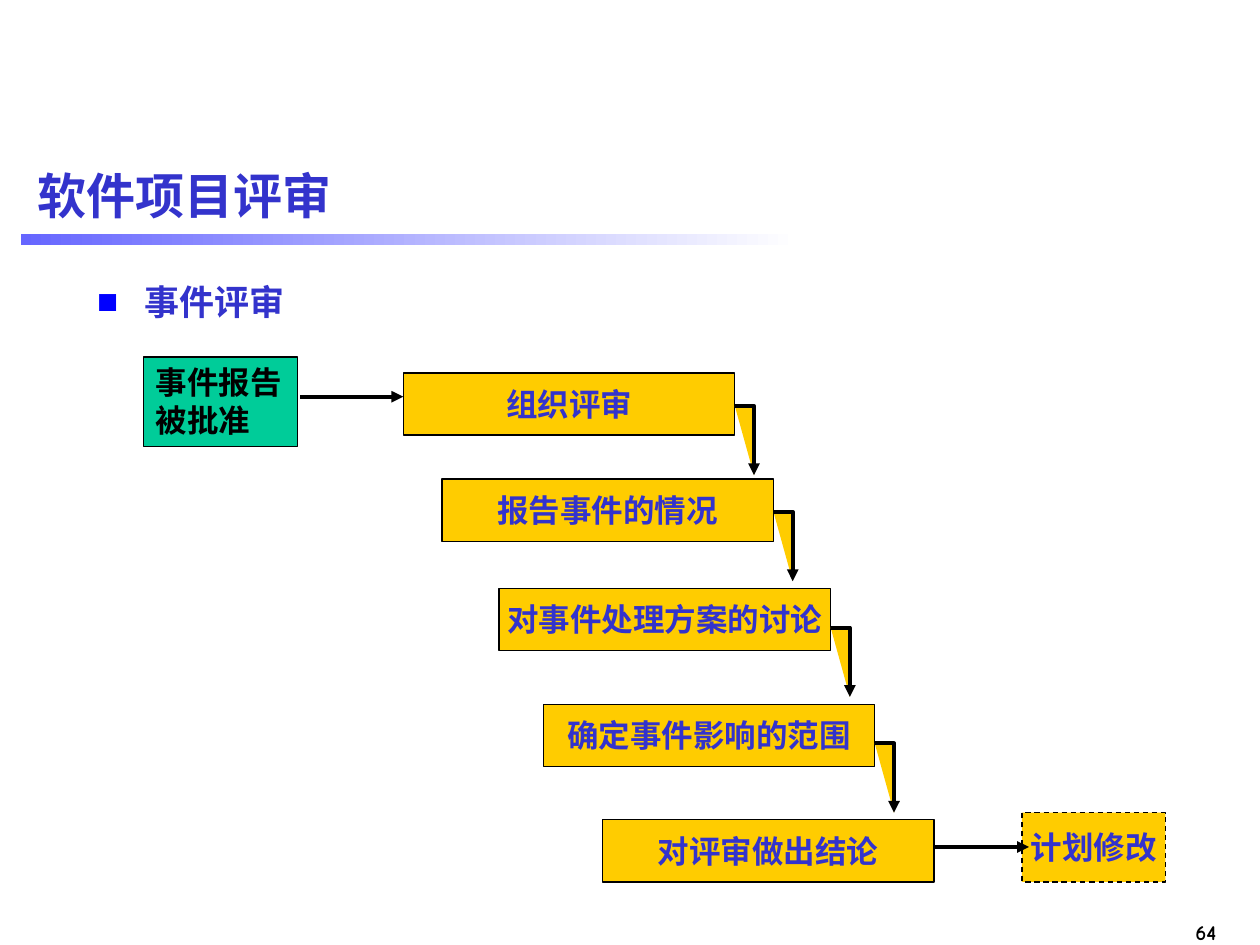
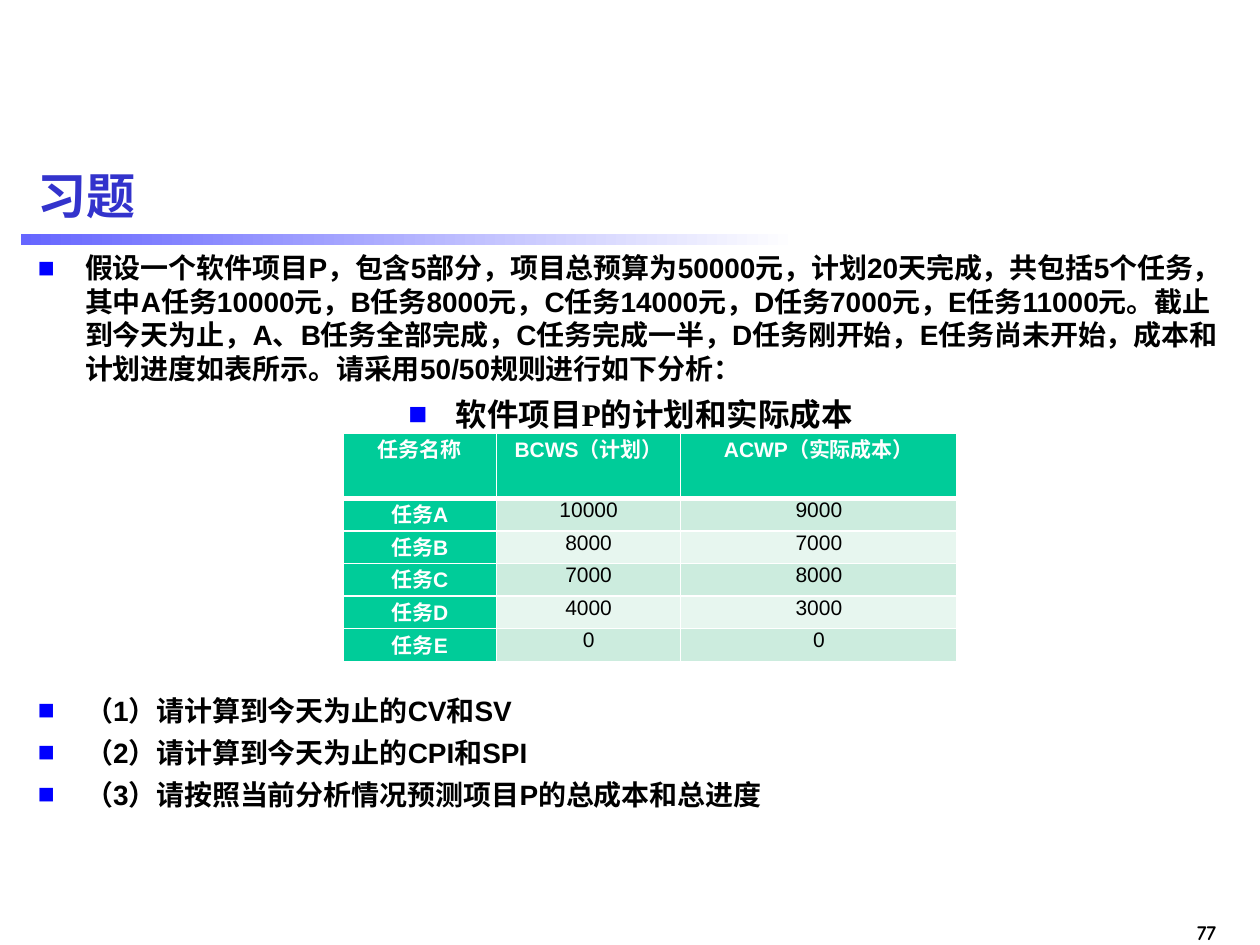
from collections import namedtuple
from dataclasses import dataclass

from lxml import etree
from pptx import Presentation
from pptx.dml.color import RGBColor
from pptx.enum.dml import MSO_LINE
from pptx.enum.lang import MSO_LANGUAGE_ID as Lang
from pptx.enum.shapes import MSO_CONNECTOR, MSO_SHAPE
from pptx.enum.text import MSO_ANCHOR as Anchor, MSO_AUTO_SIZE as AutoSize, PP_ALIGN as Align
from pptx.oxml.ns import qn
from pptx.util import Pt

Box = namedtuple("Box", "left top width height")


@dataclass(frozen=True)
class Theme:
    blue: str = "3333CC"
    bullet: str = "0000FF"
    band: str = "6666FF"
    gold: str = "FFCC00"
    green: str = "00CC99"
    stripes: tuple = ("CCECDE", "E7F6EF")
    black: str = "000000"
    white: str = "FFFFFF"
    sans: str = "Arial"
    serif: str = "Times New Roman"
    chinese: str = "Noto Sans CJK SC"
    comic: str = "Comic Neue"
    title_size: int = 28
    topic_size: int = 20
    label_size: int = 18
    text_size: int = 16
    small_size: int = 12
    indent: int = 27
    thin: float = 0.75
    thick: float = 2.25


THEME = Theme()
TITLE_BOX = Box(14.4, 83, 692, 57)
BAND_BOX = Box(12, 134, 444, 6)
NUMBER_BOX = Box(662, 522, 40, 22)


# Shared helpers
def rgb(value):
    return RGBColor.from_string(value)


def points(box):
    return [Pt(length) for length in box]


def apply(target, **formats):
    for key, value in formats.items():
        setattr(target, key, value)


def write(paragraph, text, size, color, face=THEME.sans, asian=THEME.sans,
          bold=True, **formats):
    apply(paragraph, **formats)
    run = paragraph.add_run()
    run.text = text
    apply(run.font, name=face, size=Pt(size), bold=bold,
          language_id=Lang.SIMPLIFIED_CHINESE)
    run.font.color.rgb = rgb(color)
    etree.SubElement(run.font._element, qn("a:ea"), typeface=asian)


def add_bullet(paragraph):
    props = paragraph._p.get_or_add_pPr()
    props.set("marL", str(Pt(THEME.indent)))
    props.set("indent", str(-Pt(THEME.indent)))
    color = etree.SubElement(props, qn("a:buClr"))
    etree.SubElement(color, qn("a:srgbClr"), val=THEME.bullet)
    etree.SubElement(props, qn("a:buSzPct"), val="100000")
    etree.SubElement(props, qn("a:buFont"), typeface=THEME.sans)
    etree.SubElement(props, qn("a:buChar"), char="■")


def paint(shape, fill, width=THEME.thin):
    shape.shadow.inherit = False
    shape.fill.solid()
    shape.fill.fore_color.rgb = rgb(fill)
    shape.line.color.rgb = rgb(THEME.black)
    shape.line.width = Pt(width)


def add_arrowhead(shape):
    etree.SubElement(shape.line._get_or_add_ln(), qn("a:tailEnd"), type="triangle")


# Title, gradient band and page number
def add_frame(slide, title, number):
    heading = slide.shapes.title
    apply(heading, **dict(zip(Box._fields, points(TITLE_BOX))))
    apply(heading.text_frame, vertical_anchor=Anchor.MIDDLE, auto_size=AutoSize.NONE)
    write(heading.text_frame.paragraphs[0], title, THEME.title_size, THEME.blue,
          alignment=Align.LEFT)

    band = slide.shapes.add_shape(MSO_SHAPE.RECTANGLE, *points(BAND_BOX))
    band.shadow.inherit = False
    band.line.fill.background()
    band.fill.gradient()
    band.fill.gradient_angle = 0
    for stop, color, position in zip(band.fill.gradient_stops,
                                     (THEME.band, THEME.white), (0, 1)):
        apply(stop, position=position)
        stop.color.rgb = rgb(color)

    page = slide.shapes.add_textbox(*points(NUMBER_BOX)).text_frame
    page.word_wrap = True
    write(page.paragraphs[0], number, THEME.small_size, THEME.black, THEME.comic,
          alignment=Align.RIGHT)


# Bulleted list; each item holds its text and its format values
def add_list(slide, box, items):
    body = slide.placeholders[1]
    apply(body, **dict(zip(Box._fields, points(box))))
    frame = body.text_frame
    apply(frame, auto_size=AutoSize.NONE, word_wrap=True)
    for index, (text, formats) in enumerate(items):
        paragraph = frame.add_paragraph() if index else frame.paragraphs[0]
        add_bullet(paragraph)
        before = 0.3 * formats["size"] if index else 0
        write(paragraph, text, **{"space_before": Pt(before), **formats})


# Staircase of review steps
def add_step(slide, box, lines, fill=THEME.gold, color=THEME.blue,
             align=Align.CENTER, anchor=Anchor.MIDDLE):
    step = slide.shapes.add_shape(MSO_SHAPE.RECTANGLE, *points(box))
    paint(step, fill)
    apply(step.text_frame, word_wrap=False, vertical_anchor=anchor)
    for index, line in enumerate(lines):
        paragraph = step.text_frame.add_paragraph() if index else step.text_frame.paragraphs[0]
        write(paragraph, line, THEME.label_size, color, THEME.serif, alignment=align)
    return step


def add_arrow(slide, start, end, y):
    arrow = slide.shapes.add_connector(MSO_CONNECTOR.STRAIGHT,
                                       *points((start, y, end, y)))
    arrow.line.color.rgb = rgb(THEME.black)
    arrow.line.width = Pt(THEME.thick)
    add_arrowhead(arrow)
    etree.SubElement(arrow._element.spPr, qn("a:effectLst"))


def add_elbow(slide, x, y, across=11, down=39.6):
    builder = slide.shapes.build_freeform(Pt(x), Pt(y))
    builder.add_line_segments([points((x + across, y)),
                               points((x + across, y + down))], close=False)
    elbow = builder.convert_to_shape()
    paint(elbow, THEME.gold, THEME.thick)
    add_arrowhead(elbow)


def add_review_flow(slide, box):
    left, top = box.left, box.top
    step_width, step_height = 189.5, 35.5
    # text, left and top within the flow, drop of the elbow below the step's top
    steps = [("组织评审", 148.4, 9.2, 18.7),
             ("报告事件的情况", 170.5, 69.8, 18.7),
             ("对事件处理方案的讨论", 203.2, 132.2, 22.4),
             ("确定事件影响的范围", 228.4, 198.4, 22.4),
             ("对评审做出结论", 262.2, 264.5, None)]

    add_step(slide, Box(left, top, 88, 51), ["事件报告", "被批准"], THEME.green,
             THEME.black, Align.JUSTIFY, Anchor.TOP)
    for text, x, y, _ in steps:
        add_step(slide, Box(left + x, top + y, step_width, step_height), [text])
    for _, x, y, drop in steps[:-1]:
        add_elbow(slide, left + x + step_width, top + y + drop)

    change_left = left + box.width - 82
    change = add_step(slide, Box(change_left, top + 260.4, 82, 39.6), ["计划修改"])
    change.line.dash_style = MSO_LINE.DASH

    add_arrow(slide, left + 89.5, left + 148.4, top + 22.7)
    add_arrow(slide, left + steps[-1][1] + step_width, change_left + 4, top + 280)


# Cost table
def add_borders(cell, widths):
    props = cell._tc.get_or_add_tcPr()
    for side, width in zip("LRTB", widths):
        line = etree.SubElement(props, qn(f"a:ln{side}"), w=str(Pt(width)))
        fill = etree.SubElement(line, qn("a:solidFill"))
        etree.SubElement(fill, qn("a:srgbClr"), val=THEME.white)


def add_cost_table(slide, box, rows):
    table = slide.shapes.add_table(len(rows), len(rows[0]), *points(box)).table
    for column, share in zip(table.columns, (0.25, 0.3, 0.45)):
        column.width = Pt(round(box.width * share, 2))
    unit = box.height / (len(rows) + 1)
    for r, values in enumerate(rows):
        table.rows[r].height = Pt(unit if r else 2 * unit)
        for c, value in enumerate(values):
            cell = table.cell(r, c)
            heading = r == 0 or c == 0
            apply(cell, margin_left=Pt(5), margin_right=Pt(5),
                  margin_top=0, margin_bottom=0)
            add_borders(cell, (1, 1, 3 if r == 1 else 1, 3 if r == 0 else 1))
            cell.fill.solid()
            cell.fill.fore_color.rgb = rgb(
                THEME.green if heading else THEME.stripes[(r - 1) % 2])
            write(cell.text_frame.paragraphs[0], value, THEME.small_size,
                  THEME.white if heading else THEME.black, asian=THEME.chinese,
                  bold=heading, alignment=Align.CENTER)


# Slides
def build_review_slide(slide):
    add_frame(slide, "软件项目评审", "64")
    topic = dict(size=THEME.topic_size, color=THEME.blue, face=THEME.chinese)
    add_list(slide, Box(48.3, 156.5, 658, 383), [("事件评审", topic)])
    add_review_flow(slide, Box(82, 204, 584, 300))


def build_exercise_slide(slide):
    add_frame(slide, "习题", "77")
    plain = dict(size=THEME.text_size, color=THEME.black)
    caption = dict(size=THEME.label_size, color=THEME.black, face=THEME.serif,
                   alignment=Align.CENTER)
    below_table = dict(plain, space_before=Pt(149))
    add_list(slide, Box(14.4, 139.7, 692, 400), [
        ("假设一个软件项目P，包含5部分，项目总预算为50000元，计划20天完成，共包括5个任务，"
         "其中A任务10000元，B任务8000元，C任务14000元，D任务7000元，E任务11000元。"
         "截止到今天为止，A、B任务全部完成，C任务完成一半，D任务刚开始，E任务尚未开始，"
         "成本和计划进度如表所示。请采用50/50规则进行如下分析：", plain),
        ("软件项目P的计划和实际成本", caption),
        ("（1）请计算到今天为止的CV和SV", below_table),
        ("（2）请计算到今天为止的CPI和SPI", plain),
        ("（3）请按照当前分析情况预测项目P的总成本和总进度", plain),
    ])
    add_cost_table(slide, Box(196, 247.7, 351, 130.2), [
        ("任务名称", "BCWS（计划）", "ACWP（实际成本）"),
        ("任务A", "10000", "9000"),
        ("任务B", "8000", "7000"),
        ("任务C", "7000", "8000"),
        ("任务D", "4000", "3000"),
        ("任务E", "0", "0"),
    ])


def main():
    deck = Presentation()
    apply(deck, slide_width=Pt(720), slide_height=Pt(540))
    for build in (build_review_slide, build_exercise_slide):
        build(deck.slides.add_slide(deck.slide_layouts[1]))
    deck.save("out.pptx")


if __name__ == "__main__":
    main()
